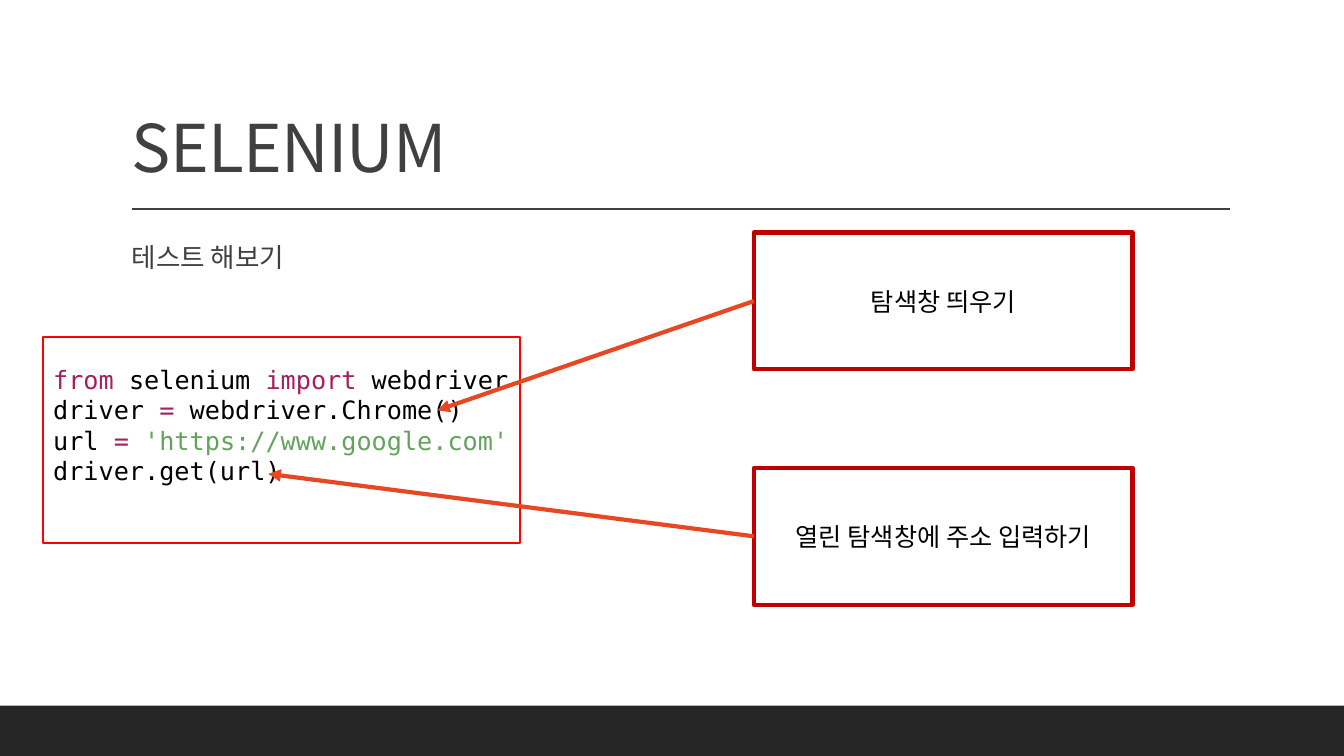
"""Build a slide that explains a short Selenium script with two callouts."""

from dataclasses import dataclass

import pptx
import pptx.dml.color
import pptx.enum.shapes
import pptx.enum.text
import pptx.oxml
import pptx.oxml.ns
import pptx.util

Cm = pptx.util.Cm
Pt = pptx.util.Pt
ANCHOR = pptx.enum.text.MSO_ANCHOR
ALIGN = pptx.enum.text.PP_ALIGN
RECTANGLE = pptx.enum.shapes.MSO_SHAPE.RECTANGLE
STRAIGHT = pptx.enum.shapes.MSO_CONNECTOR.STRAIGHT
LEFT_SIDE = 1


@dataclass(frozen=True)
class Theme:
    """Colours, fonts and type sizes of the slide."""

    white: str = "FFFFFF"
    ink: str = "404040"
    footer: str = "262626"
    code_frame: str = "FF0000"
    callout_frame: str = "C00000"
    callout_text: str = "000000"
    arrow: str = "E64823"
    keyword: str = "A71D5D"
    plain: str = "010101"
    string: str = "63A35C"
    heading_font: str = "Noto Sans CJK KR"
    callout_font: str = "Lato"
    code_font: str = "DejaVu Sans Mono"
    title_size: float = 47
    subtitle_size: float = 19
    body_size: float = 18


THEME = Theme()


@dataclass(frozen=True)
class Area:
    """A rectangle in centimetres."""

    left: float
    top: float
    width: float
    height: float

    def lengths(self) -> tuple:
        """Return the four measures as lengths."""
        return Cm(self.left), Cm(self.top), Cm(self.width), Cm(self.height)


@dataclass(frozen=True)
class Callout:
    """A framed remark with an arrow to a point in the code."""

    text: str
    top: float
    target_x: float
    target_y: float


CODE = [
    [("from ", THEME.keyword), ("selenium ", THEME.plain),
     ("import ", THEME.keyword), ("webdriver", THEME.plain)],
    [("driver ", THEME.plain), ("= ", THEME.keyword), ("webdriver.Chrome()", THEME.plain)],
    [("url ", THEME.plain), ("= ", THEME.keyword),
     ("'https://www.google.com'", THEME.string)],
    [("driver.get(url)", THEME.plain)],
]

CALLOUTS = [
    Callout("탐색창 띄우기", 5.86, 11.02, 10.34),
    Callout("열린 탐색창에 주소 입력하기", 11.79, 6.76, 11.94),
]


def rgb(value: str) -> pptx.dml.color.RGBColor:
    """Turn a hexadecimal text into a colour."""
    return pptx.dml.color.RGBColor.from_string(value)


def element(tag: str, attributes: str = ""):
    """Make an empty drawing element."""
    return pptx.oxml.parse_xml(f'<a:{tag} {pptx.oxml.ns.nsdecls("a")} {attributes}/>')


def style_span(span, font: str, size: float, color: str) -> None:
    """Set the typeface, size and colour of a run."""
    span.font.name = font
    span.font.size = Pt(size)
    span.font.color.rgb = rgb(color)
    latin = span.font._element.find(pptx.oxml.ns.qn("a:latin"))
    latin.addnext(element("ea", f'typeface="{THEME.heading_font}"'))


def add_heading(page, area: Area, text: str, size: float, spacing: float, anchor):
    """Add a one-line text box and return its run."""
    frame = page.shapes.add_textbox(*area.lengths()).text_frame
    frame.word_wrap = True
    frame.vertical_anchor = anchor
    frame.text = text
    para = frame.paragraphs[0]
    para.line_spacing = spacing
    style_span(para.runs[0], THEME.heading_font, size, THEME.ink)
    return para.runs[0]


def add_box(page, area: Area, fill: str = "", line: str = "", width: float = 1):
    """Add a rectangle with an optional fill and outline."""
    box = page.shapes.add_shape(RECTANGLE, *area.lengths())
    box.shadow.inherit = False
    if fill:
        box.fill.solid()
        box.fill.fore_color.rgb = rgb(fill)
    else:
        box.fill.background()
    if line:
        box.line.color.rgb = rgb(line)
        box.line.width = Pt(width)
    else:
        box.line.fill.background()
    box.text_frame.word_wrap = True
    box.text_frame.vertical_anchor = ANCHOR.MIDDLE
    return box


def add_line(page, start: tuple, end: tuple, color: str, width: float):
    """Add a straight line between two points in centimetres."""
    line = page.shapes.add_connector(STRAIGHT, *(Cm(value) for value in start + end))
    line.line.color.rgb = rgb(color)
    line.line.width = Pt(width)
    line._element.spPr.append(element("effectLst"))
    return line


def add_code(page, area: Area) -> None:
    """Add the framed listing with coloured syntax."""
    frame = add_box(page, area, THEME.white, THEME.code_frame, 1.25).text_frame
    frame.margin_bottom = Cm(0.88)
    frame.text = "\n".join("" for _ in CODE)
    for para, pieces in zip(frame.paragraphs, CODE):
        para.alignment = ALIGN.LEFT
        for text, color in pieces:
            span = para.add_run()
            span.text = text
            style_span(span, THEME.code_font, THEME.body_size, color)


def add_callout(page, callout: Callout) -> None:
    """Add a callout box and its arrow."""
    area = Area(19, callout.top, 9.54, 3.45)
    box = add_box(page, area, line=THEME.callout_frame, width=3)
    box.text_frame.text = callout.text
    para = box.text_frame.paragraphs[0]
    para.alignment = ALIGN.CENTER
    style_span(para.runs[0], THEME.callout_font, THEME.body_size, THEME.callout_text)
    start = (area.left, area.top + area.height / 2)
    arrow = add_line(page, start, (callout.target_x, callout.target_y), THEME.arrow, 3)
    arrow.begin_connect(box, LEFT_SIDE)
    arrow.line._get_or_add_ln().append(element("tailEnd", 'type="triangle"'))


def main() -> None:
    """Build and save the deck."""
    deck = pptx.Presentation()
    deck.slide_width, deck.slide_height = Cm(33.87), Cm(19.05)
    page = deck.slides.add_slide(deck.slide_layouts[6])
    add_box(page, Area(0, 17.78, 33.87, 1.27), THEME.footer)
    add_line(page, (3.32, 5.27), (31, 5.27), THEME.ink, 1)
    title = add_heading(page, Area(3.07, 0.79, 27.94, 4.04), "SELENIUM",
                        THEME.title_size, 0.9, ANCHOR.BOTTOM)
    title.font._element.set("spc", "-50")
    add_heading(page, Area(3.07, 5.87, 27.94, 10.44), "테스트 해보기",
                THEME.subtitle_size, 1.1, ANCHOR.TOP)
    add_code(page, Area(1.09, 8.49, 12.02, 5.19))
    for callout in CALLOUTS:
        add_callout(page, callout)
    deck.save("out.pptx")


if __name__ == "__main__":
    main()
